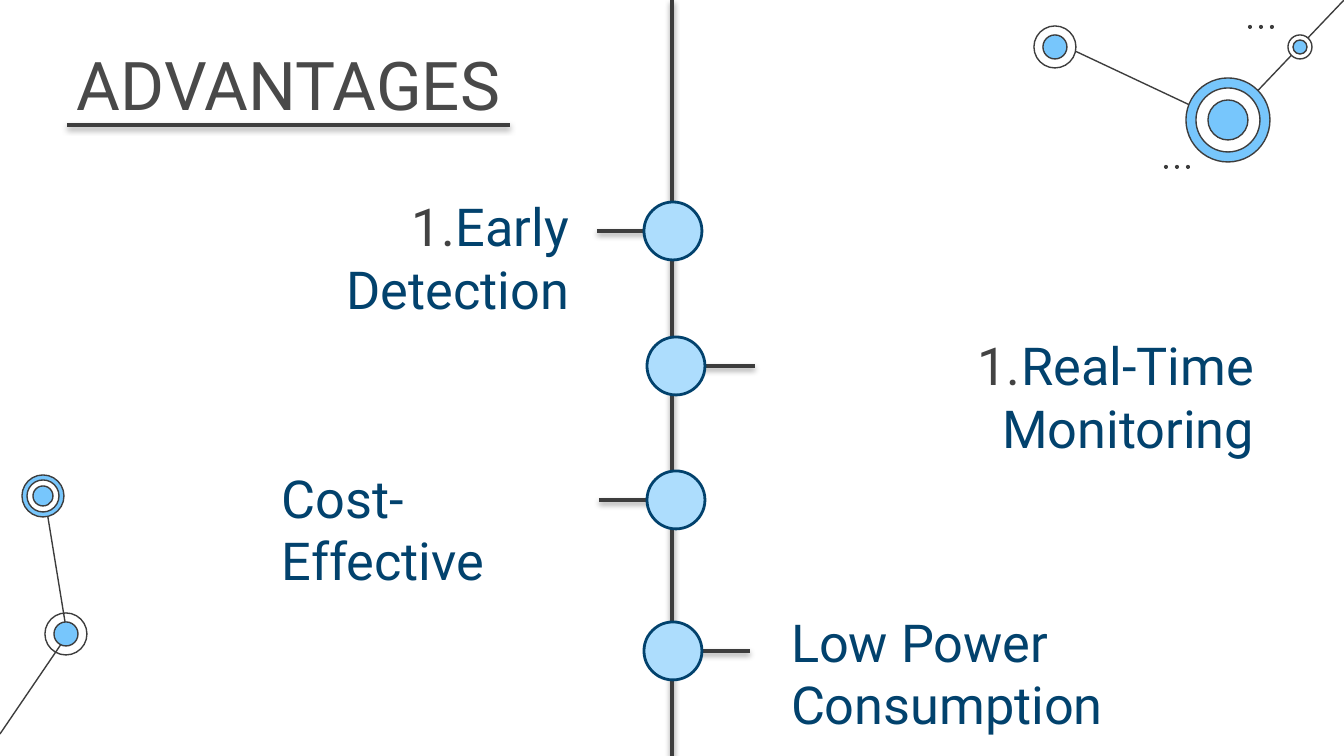
from dataclasses import dataclass

from lxml.etree import SubElement as Sub
from pptx import Presentation
from pptx.dml.color import RGBColor as Rgb
from pptx.enum.shapes import MSO_CONNECTOR as Conn, MSO_SHAPE as Kind
from pptx.enum.text import MSO_ANCHOR as Anchor, PP_ALIGN as Align
from pptx.oxml.ns import qn
from pptx.util import Pt

PX = 914400 / 134.4


@dataclass(frozen=True)
class Theme:
    font: str = "Roboto"
    title: str = "494949"
    body: str = "02426D"
    mark: str = "434343"
    dark: str = "3D3D3D"
    blue: str = "77C6FC"
    pale: str = "ADDDFD"
    white: str = "FFFFFF"
    head: int = 36
    text: int = 28
    thin: float = 0.75
    rim: float = 1.5
    bold: float = 2


THEME = Theme()


@dataclass(frozen=True)
class Box:
    x: int
    y: int
    w: int
    h: int

    def sub(self, x, y, w, h):
        return Box(self.x + x, self.y + y, w, h)

    def emu(self):
        return [emu(n) for n in (self.x, self.y, self.w, self.h)]


def emu(px):
    return round(px * PX)


def line(slide, box, start, end, width=THEME.thin, shade=False):
    """Draw a line between two points measured from the box corner."""
    ends = [emu(n) for x, y in (start, end) for n in (box.x + x, box.y + y)]
    link = slide.shapes.add_connector(Conn.STRAIGHT, *ends)
    link.line.color.rgb = Rgb.from_string(THEME.dark)
    link.line.width = Pt(width)
    effect = Sub(link._element.spPr, qn("a:effectLst"))
    if shade:
        cast = Sub(effect, qn("a:outerShdw"), blurRad="40000", dist="20000",
                   dir="5400000", rotWithShape="0")
        tint = Sub(cast, qn("a:srgbClr"), val="000000")
        Sub(tint, qn("a:alpha"), val="38000")


def disc(slide, box, x, y, r, fill=None, edge=None, width=THEME.thin):
    """Draw a circle centred on a point measured from the box corner."""
    side = 2 * r
    shape = slide.shapes.add_shape(
        Kind.OVAL, *box.sub(x - r, y - r, side, side).emu())
    shape.shadow.inherit = False
    if fill:
        shape.fill.solid()
        shape.fill.fore_color.rgb = Rgb.from_string(fill)
    else:
        shape.fill.background()
    if edge:
        shape.line.color.rgb = Rgb.from_string(edge)
        shape.line.width = Pt(width)
    else:
        shape.line.fill.background()


def write(slide, box, text, size=THEME.text, color=THEME.body,
          align=Align.LEFT, indent=0, number=False):
    shape = slide.shapes.add_textbox(*box.emu())
    frame = shape.text_frame
    frame.word_wrap = True
    frame.vertical_anchor = Anchor.TOP
    frame.margin_left = frame.margin_right = emu(13)
    frame.margin_top = frame.margin_bottom = emu(13)
    para = frame.paragraphs[0]
    para.alignment = align
    run = para.add_run()
    run.text = text
    run.font.name = THEME.font
    run.font.size = Pt(size)
    run.font.color.rgb = Rgb.from_string(color)
    props = para._p.get_or_add_pPr()
    props.set("marL", str(emu(indent)))
    if number:
        props.set("indent", str(emu(-44)))
        tint = Sub(props, qn("a:buClr"))
        Sub(tint, qn("a:srgbClr"), val=THEME.mark)
        Sub(props, qn("a:buFont"), typeface=THEME.font)
        Sub(props, qn("a:buAutoNum"), type="arabicPeriod")


def rings(slide, box, x, y, *parts):
    """Nest circles, given as (radius, fill) from the outside in."""
    for r, fill in parts:
        disc(slide, box, x, y, r, fill, THEME.dark)


def dots(slide, box, x, y):
    for step in range(3):
        disc(slide, box, x + 11 * step, y, 2, THEME.dark)


def low_art(slide, box):
    """Linked rings in the lower left corner."""
    line(slide, box, (67, 160), (44, 19))
    line(slide, box, (0, 260), (66, 163))
    rings(slide, box, 66, 160, (21, None), (12, THEME.blue))
    rings(slide, box, 43, 22,
          (21, THEME.blue), (16, THEME.white), (10, THEME.blue))


def top_art(slide, box):
    """Linked rings in the upper right corner."""
    line(slide, box, (194, 123), (24, 43))
    line(slide, box, (310, 0), (194, 122))
    rings(slide, box, 194, 120,
          (42, THEME.blue), (32, THEME.white), (20, THEME.blue))
    rings(slide, box, 21, 47, (21, THEME.white), (12, THEME.blue))
    rings(slide, box, 266, 47, (12, THEME.white), (7, THEME.blue))
    dots(slide, box, 216, 27)
    dots(slide, box, 132, 167)


def header(slide, box):
    write(slide, box, "ADVANTAGES", size=THEME.head, color=THEME.title,
          align=Align.CENTER)
    line(slide, box, (79, 95), (522, 95), THEME.bold, shade=True)


def timeline(slide, box):
    """Central axis with a stem, a dot and a label for each advantage."""
    axis = box.w // 2
    right = dict(align=Align.RIGHT, indent=67, number=True)
    # dot centre x, y; stem tip x; label frame; label; format
    stops = [
        (673, 231, 597, (208, 181, 374, 116), "Early Detection", right),
        (676, 366, 755, (732, 320, 535, 116), "Real-Time Monitoring", right),
        (676, 500, 599, (246, 453, 365, 78), "Cost-Effective",
         dict(indent=23)),
        (673, 651, 750, (778, 597, 566, 116), "Low Power Consumption", {}),
    ]
    line(slide, box, (axis, 0), (axis, box.h), THEME.bold, shade=True)
    for x, y, tip, frame, label, form in stops:
        write(slide, box.sub(*frame), label, **form)
        line(slide, box, (tip, y), (axis, y), THEME.bold, shade=True)
        disc(slide, box, x, y, 29, THEME.pale, THEME.body, THEME.rim)


def main():
    deck = Presentation()
    page = Box(0, 0, 1344, 756)
    deck.slide_width, deck.slide_height = emu(page.w), emu(page.h)
    slide = deck.slides.add_slide(deck.slide_layouts[6])
    low_art(slide, page.sub(0, 474, 87, 260))
    top_art(slide, page.sub(1034, 0, 310, 170))
    header(slide, page.sub(-12, 30, 601, 85))
    timeline(slide, page)
    deck.save("out.pptx")


if __name__ == "__main__":
    main()
